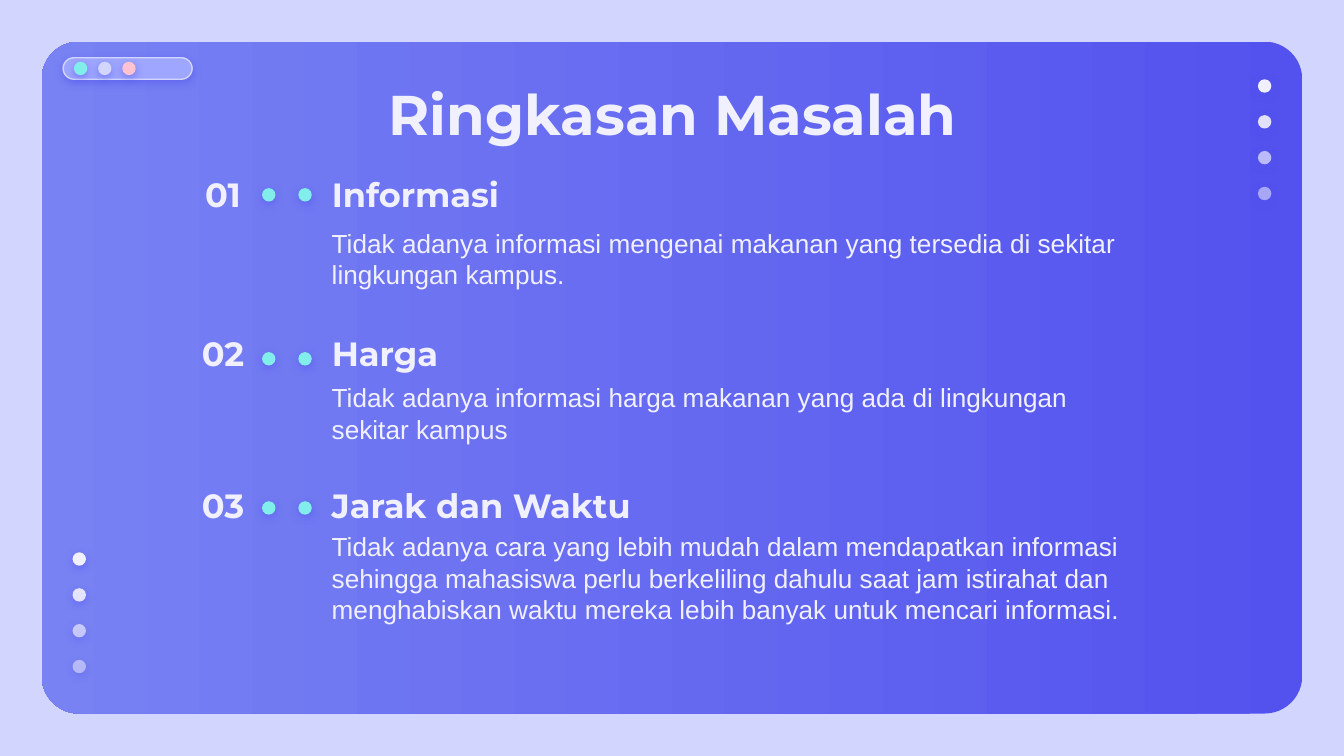
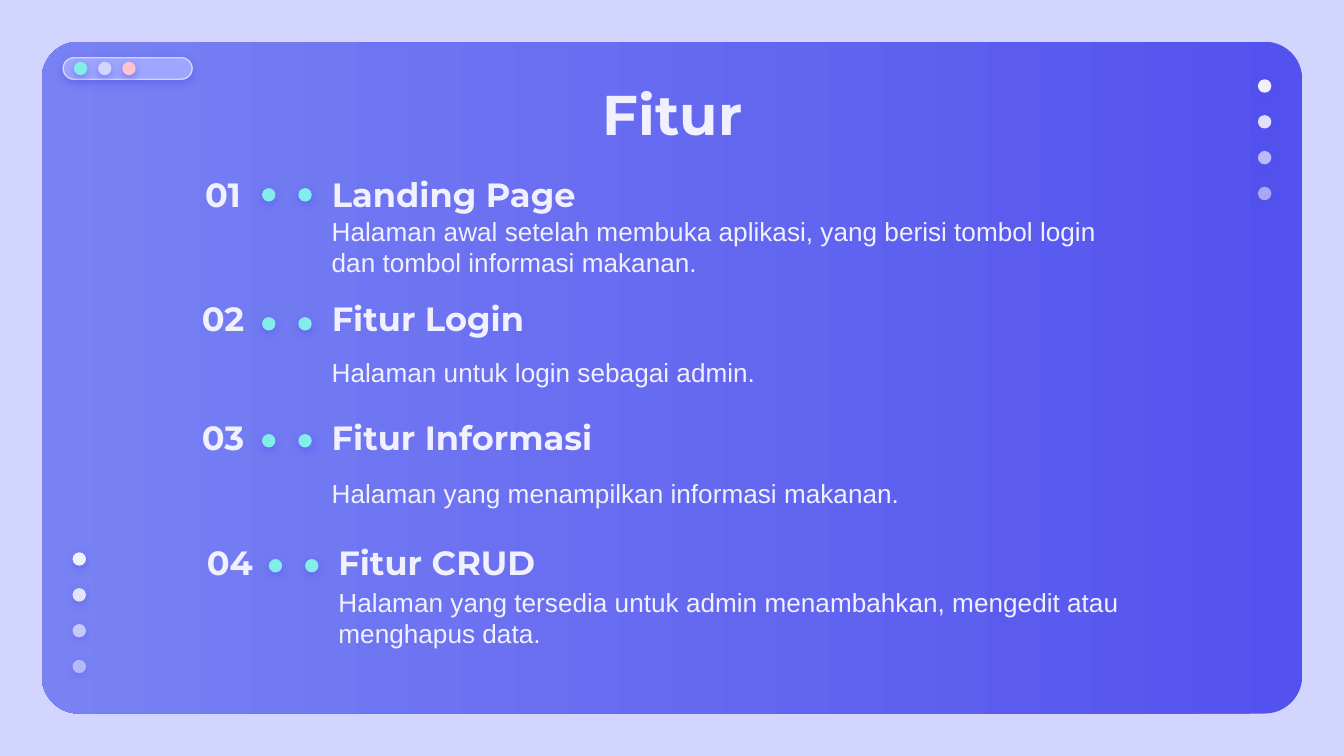
from lxml import etree
from pptx import Presentation
from pptx.dml.color import RGBColor
from pptx.enum.shapes import MSO_SHAPE
from pptx.enum.text import MSO_ANCHOR, MSO_AUTO_SIZE, PP_ALIGN
from pptx.oxml.ns import qn
from pptx.util import Inches, Pt

OVAL, ROUND = MSO_SHAPE.OVAL, MSO_SHAPE.ROUNDED_RECTANGLE
TOP, MIDDLE = MSO_ANCHOR.TOP, MSO_ANCHOR.MIDDLE
LEFT, CENTER = PP_ALIGN.LEFT, PP_ALIGN.CENTER

COLORS = {
    "back": "D2D6FF", "deep": "5352EE", "soft": "7882F3", "pill": "9EA6FF",
    "mint": "81EEEB", "pink": "FFC3D0", "text": "F1F0FF",
}
HEAD_FONT, BODY_FONT = "Montserrat", "Arial"

# Each item: heading, body, left, heading width, heading top, dots top,
# body top, body height
SLIDES = [
    ("Ringkasan Masalah", MIDDLE, [
        ("Informasi",
         "Tidak adanya informasi mengenai makanan yang tersedia di sekitar "
         "lingkungan kampus.",
         2.37, 2.52, 1.31, 1.4, 1.66, 0.53),
        ("Harga",
         "Tidak adanya informasi harga makanan yang ada di lingkungan "
         "sekitar kampus",
         2.37, 2.52, 2.49, 2.62, 2.81, 0.53),
        ("Jarak dan Waktu",
         "Tidak adanya cara yang lebih mudah dalam mendapatkan informasi "
         "sehingga mahasiswa perlu berkeliling dahulu saat jam istirahat dan "
         "menghabiskan waktu mereka lebih banyak untuk mencari informasi.",
         2.37, 6.07, 3.62, 3.73, 3.95, 0.7),
    ]),
    ("Fitur", TOP, [
        ("Landing Page",
         "Halaman awal setelah membuka aplikasi, yang berisi tombol login "
         "dan tombol informasi makanan.",
         2.37, 2.52, 1.31, 1.4, 1.5, 0.53),
        ("Fitur Login", "Halaman untuk login sebagai admin.",
         2.37, 2.52, 2.23, 2.36, 2.55, 0.53),
        ("Fitur Informasi", "Halaman yang menampilkan informasi makanan.",
         2.37, 6.07, 3.12, 3.23, 3.45, 0.7),
        ("Fitur CRUD",
         "Halaman yang tersedia untuk admin menambahkan, mengedit atau "
         "menghapus data.",
         2.42, 6.07, 4.05, 4.16, 4.26, 0.7),
    ]),
]

# Shared decoration
SLIDE_WIDTH = 10
SLIDE_HEIGHT = SLIDE_WIDTH * 9 / 16
DOT = 0.1
PILL_DOTS = ["mint", "back", "pink"]
FADE = [100, 90, 67, 54]            # opacity of the side dots, in percent
FADE_COLUMNS = [(9.36, 0.59), (0.54, 4.11)]
FADE_STEP = 0.8 / 3
BODY_WIDTH = 6.07


def rgb(name):
    return RGBColor.from_string(COLORS[name])


def add_alpha(color, percent):
    etree.SubElement(color, qn("a:alpha"), val=str(percent * 1000))


def add_glow_shadow(sp):
    """Soft shadow just below the shape."""
    sp.shadow.inherit = False
    effects = sp.element.spPr.find(qn("a:effectLst"))
    shadow = etree.SubElement(
        effects, qn("a:outerShdw"), blurRad=str(Pt(4.5)), dist=str(Pt(1.5)),
        dir="5400000", algn="bl", rotWithShape="0")
    color = etree.SubElement(shadow, qn("a:srgbClr"), val=COLORS["deep"])
    add_alpha(color, 50)


def add_dot(s, x, y, color, opacity=100):
    sp = s.shapes.add_shape(OVAL, Inches(x), Inches(y), Inches(DOT), Inches(DOT))
    sp.fill.solid()
    sp.fill.fore_color.rgb = rgb(color)
    if opacity < 100:
        add_alpha(sp.element.spPr.find(qn("a:solidFill"))[0], opacity)
    sp.line.fill.background()
    add_glow_shadow(sp)


def write(sp, text, font, size, bold=False, align=LEFT, anchor=MIDDLE):
    tf = sp.text_frame
    tf.word_wrap = True
    tf.auto_size = MSO_AUTO_SIZE.NONE
    tf.vertical_anchor = anchor
    tf.margin_left = tf.margin_right = Inches(0.1)
    tf.margin_top = tf.margin_bottom = Inches(0.1)
    p = tf.paragraphs[0]
    p.alignment = align
    r = p.add_run()
    r.text = text
    r.font.name, r.font.size, r.font.bold = font, Pt(size), bold
    r.font.color.rgb = rgb("text")


def add_text(s, x, y, w, h, *args, **style):
    write(s.shapes.add_textbox(Inches(x), Inches(y), Inches(w), Inches(h)),
          *args, **style)


def add_frame(s):
    s.background.fill.solid()
    s.background.fill.fore_color.rgb = rgb("back")

    # Gradient panel
    panel = s.shapes.add_shape(ROUND, Inches(0.31), Inches(0.31),
                               Inches(9.38), Inches(5))
    panel.adjustments[0] = 0.056
    panel.shadow.inherit = False
    panel.line.fill.background()
    panel.fill.gradient()
    panel.fill.gradient_angle = 180
    for stop, name in zip(panel.fill.gradient_stops, ("deep", "soft")):
        stop.color.rgb = rgb(name)

    # Window pill
    pill = s.shapes.add_shape(ROUND, Inches(0.47), Inches(0.43),
                              Inches(0.96), Inches(0.16))
    pill.adjustments[0] = 0.5
    pill.fill.solid()
    pill.fill.fore_color.rgb = rgb("pill")
    pill.line.color.rgb = rgb("back")
    pill.line.width = Pt(0.75)
    add_glow_shadow(pill)
    for i, color in enumerate(PILL_DOTS):
        add_dot(s, 0.55 + 0.18 * i, 0.46, color)

    # Fading side dots
    for x, y in FADE_COLUMNS:
        for i, opacity in enumerate(FADE):
            add_dot(s, x, y + FADE_STEP * i, "text", opacity)


def add_title(s, text):
    title = s.shapes.title
    title.left, title.top = Inches(0.79), Inches(0.49)
    title.width, title.height = Inches(8.43), Inches(0.63)
    write(title, text, HEAD_FONT, 30, bold=True, align=CENTER, anchor=TOP)
    s.shapes.element.append(title.element)  # in front of the panel


def add_item(s, number, item, anchor):
    heading, body, x, head_w, head_y, dot_y, body_y, body_h = item
    add_text(s, x - 1.19, head_y, 0.96, 0.27, f"{number:02}", HEAD_FONT, 18,
             bold=True, align=CENTER)
    for gap in (0.42, 0.15):
        add_dot(s, x - gap, dot_y, "mint")
    add_text(s, x, head_y, head_w, 0.27, heading, HEAD_FONT, 18, bold=True)
    add_text(s, x, body_y, BODY_WIDTH, body_h, body, BODY_FONT, 14,
             anchor=anchor)


def main():
    prs = Presentation()
    prs.slide_width, prs.slide_height = Inches(SLIDE_WIDTH), Inches(SLIDE_HEIGHT)
    for title, anchor, items in SLIDES:
        s = prs.slides.add_slide(prs.slide_layouts[5])
        add_frame(s)
        add_title(s, title)
        for number, item in enumerate(items, 1):
            add_item(s, number, item, anchor)
    prs.save("out.pptx")


if __name__ == "__main__":
    main()
